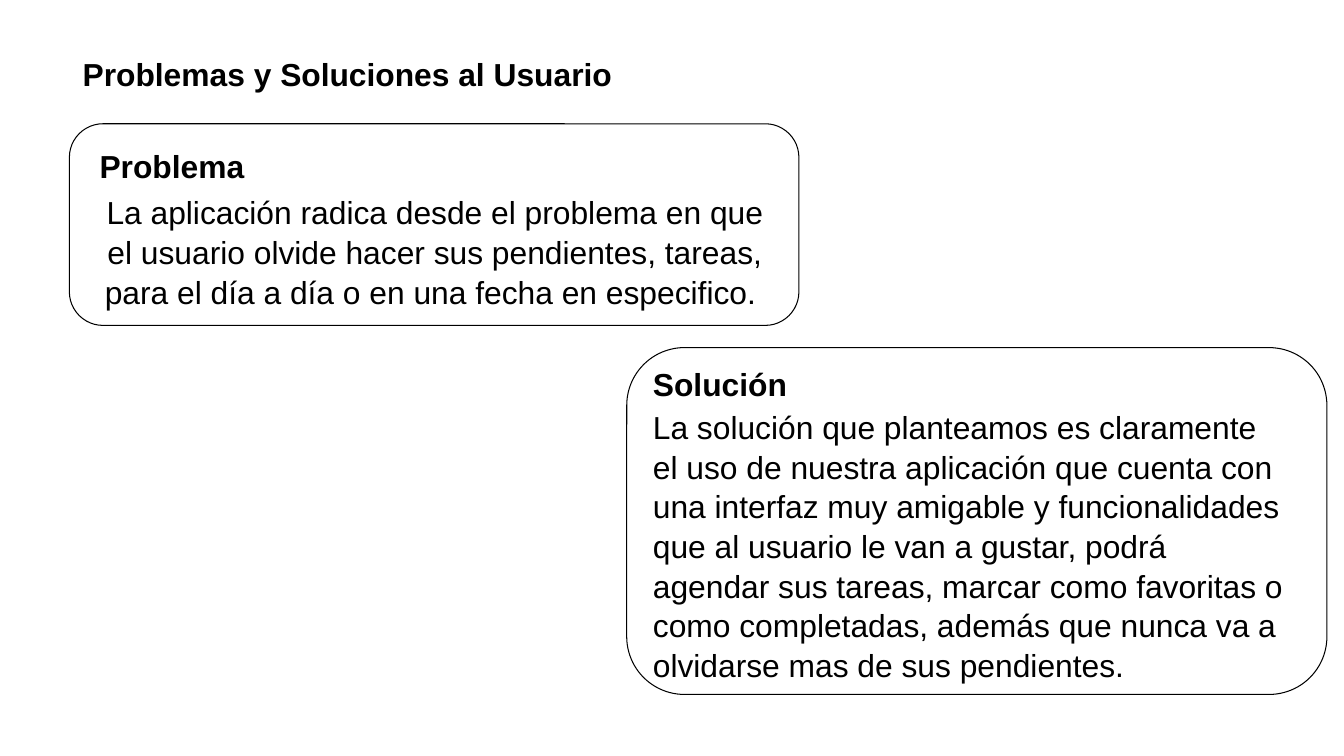
import pptx
import pptx.util
import pptx.dml.color
import pptx.enum.shapes
import pptx.enum.text

Cm = pptx.util.Cm
ALIGN = pptx.enum.text.PP_ALIGN


def rgb(hex_color):
    return pptx.dml.color.RGBColor.from_string(hex_color)


def write_text(sp, text, bold=False, align=ALIGN.LEFT, size=22.7, color="000000"):
    tf = sp.text_frame
    tf.word_wrap = True
    tf.auto_size = pptx.enum.text.MSO_AUTO_SIZE.NONE
    tf.vertical_anchor = pptx.enum.text.MSO_ANCHOR.TOP
    p = tf.paragraphs[0]
    p.alignment = align
    p.line_spacing = 1.04
    p.space_before = pptx.util.Pt(0)
    r = p.add_run()
    r.text = text
    r.font.name = "Arial"
    r.font.size = pptx.util.Pt(size)
    r.font.bold = bold
    r.font.color.rgb = rgb(color)


prs = pptx.Presentation()
prs.slide_width = Cm(33.88)
prs.slide_height = Cm(19.05)
slide = prs.slides.add_slide(prs.slide_layouts[5])

title = slide.shapes.title
title.left, title.top, title.width, title.height = Cm(1.83), Cm(1.22), Cm(17.88), Cm(1.22)
write_text(title, "Problemas y Soluciones al Usuario", bold=True)

# Card frame, text column (left, width), heading top, body (top, height)
cards = [
    ((1.75, 3.12, 18.39, 5.08), (2.26, 17.4), 3.53, (4.7, 3.15), ALIGN.CENTER,
     "Problema ",
     "La aplicación radica desde el problema en que el usuario olvide hacer sus "
     "pendientes, tareas, para el día a día o en una fecha en especifico. "),
    ((15.8, 8.76, 17.65, 8.74), (16.21, 16.41), 9.04, (10.11, 7.04), ALIGN.LEFT,
     "Solución",
     "La solución que planteamos es claramente el uso de nuestra aplicación que "
     "cuenta con una interfaz muy amigable y funcionalidades que al usuario le van a "
     "gustar, podrá agendar sus tareas, marcar como favoritas o como completadas, "
     "además que nunca va a olvidarse mas de sus pendientes. "),
]

for frame, (left, width), heading_top, (body_top, body_height), align, heading, body in cards:
    card = slide.shapes.add_shape(
        pptx.enum.shapes.MSO_SHAPE.ROUNDED_RECTANGLE, *map(Cm, frame))
    card.shadow.inherit = False
    card.fill.background()
    card.line.color.rgb = rgb("000000")
    card.line.width = pptx.util.Pt(0.75)

    sp = slide.shapes.add_textbox(Cm(left), Cm(heading_top), Cm(width), Cm(1.22))
    write_text(sp, heading, bold=True)
    sp = slide.shapes.add_textbox(Cm(left), Cm(body_top), Cm(width), Cm(body_height))
    write_text(sp, body, align=align)

prs.save("out.pptx")
